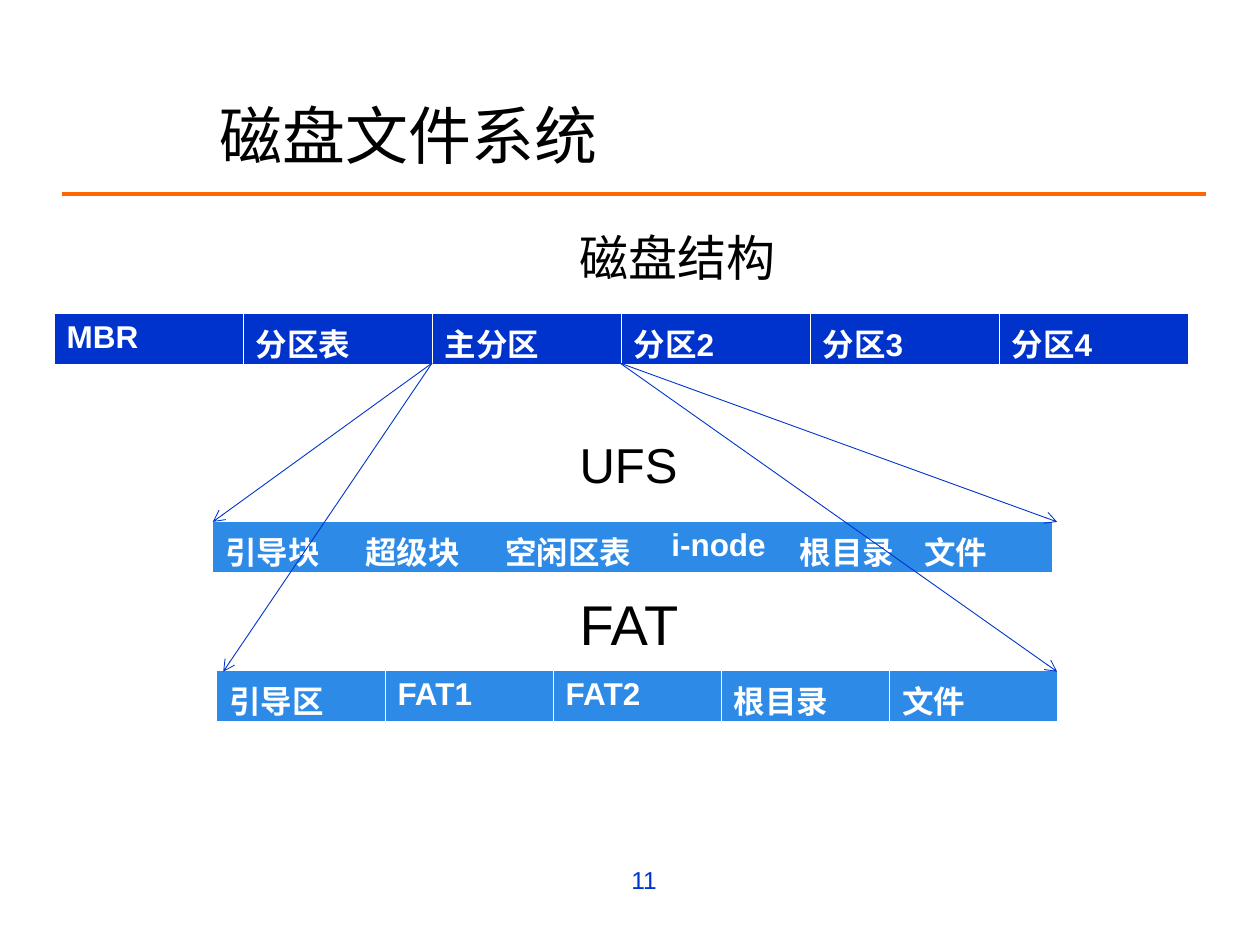
from lxml.etree import SubElement
from pptx import Presentation
from pptx.dml.color import RGBColor
from pptx.enum.shapes import MSO_CONNECTOR
from pptx.enum.text import MSO_ANCHOR, MSO_AUTO_SIZE, PP_ALIGN
from pptx.oxml.ns import qn
from pptx.util import Cm, Pt

BLACK = RGBColor(0x00, 0x00, 0x00)
WHITE = RGBColor(0xFF, 0xFF, 0xFF)
ORANGE = RGBColor(0xFF, 0x66, 0x00)
DISK_BLUE = RGBColor(0x00, 0x33, 0xCC)
SYSTEM_BLUE = RGBColor(0x2D, 0x8A, 0xE7)


def style(paragraph, size, color, bold=False):
    paragraph.font.name = "Arial"
    paragraph.font.size = Pt(size)
    paragraph.font.bold = bold
    paragraph.font.color.rgb = color


def place(shape, left, top, width, height):
    shape.left, shape.top = Cm(left), Cm(top)
    shape.width, shape.height = Cm(width), Cm(height)


def add_line(slide, start, end, color, width, arrow=False):
    line = slide.shapes.add_connector(
        MSO_CONNECTOR.STRAIGHT, *(Cm(value) for value in (*start, *end)))
    line.line.color.rgb = color
    line.line.width = Pt(width)
    if arrow:
        SubElement(line.line._get_or_add_ln(), qn("a:tailEnd"), type="arrow")
    SubElement(line._element.spPr, qn("a:effectLst"))


def add_title(slide, left, top, width, height):
    title = slide.shapes.title
    place(title, left, top, width, height)
    title.text_frame.text = "磁盘文件系统"
    title.text_frame.auto_size = MSO_AUTO_SIZE.NONE
    title.text_frame.vertical_anchor = MSO_ANCHOR.MIDDLE
    heading = title.text_frame.paragraphs[0]
    heading.alignment = PP_ALIGN.LEFT
    style(heading, 36, BLACK)
    add_line(slide, (1.24, 3.91), (24.31, 3.91), ORANGE, 2.25)


def add_captions(slide, left, top, width, height):
    """Fill the body with one caption above each table."""
    body = slide.placeholders[1]
    place(body, left, top, width, height)
    frame = body.text_frame
    frame.auto_size = MSO_AUTO_SIZE.NONE
    captions = [("磁盘结构", 28, 0), ("UFS", 28, 85), ("FAT", 32, 55)]
    frame.text = "\n".join(caption for caption, _, _ in captions)
    for paragraph, (_, size, gap) in zip(frame.paragraphs, captions):
        style(paragraph, size, BLACK)
        paragraph.space_before = Pt(gap)
        properties = paragraph._p.get_or_add_pPr()
        properties.set("marL", str(Cm(10.16)))
        properties.set("indent", "0")
        SubElement(properties, qn("a:buNone"))
        properties.remove(default := properties.find(qn("a:defRPr")))
        properties.append(default)


def set_borders(cell, visible):
    properties = cell._tc.get_or_add_tcPr()
    for position, (side, width) in enumerate(
            [("lnL", 0.45), ("lnR", 0.45), ("lnT", 0.45), ("lnB", 1.47)]):
        border = SubElement(properties, qn(f"a:{side}"), w=str(Pt(width)))
        if visible:
            fill = SubElement(border, qn("a:solidFill"))
            SubElement(fill, qn("a:srgbClr"), val=str(WHITE))
        else:
            SubElement(border, qn("a:noFill"))
        properties.insert(position, border)


def add_layout_row(slide, left, top, height, widths, areas, fill, bordered=True):
    """Add a one-row table of the areas on a disk or in a file system."""
    table = slide.shapes.add_table(
        1, len(areas), Cm(left), Cm(top), Cm(sum(widths)), Cm(height)).table
    table.first_row = table.horz_banding = False
    for column, width, cell, area in zip(
            table.columns, widths, table.rows[0].cells, areas):
        column.width = Cm(width)
        cell.text = area
        style(cell.text_frame.paragraphs[0], 18, WHITE, bold=True)
        cell.fill.solid()
        cell.fill.fore_color.rgb = fill
        set_borders(cell, bordered)


def add_page_number(slide, left, top, width, height):
    box = slide.shapes.add_textbox(Cm(left), Cm(top), Cm(width), Cm(height))
    box.text_frame.word_wrap = True
    box.text_frame.text = "11"
    number = box.text_frame.paragraphs[0]
    number.alignment = PP_ALIGN.RIGHT
    style(number, 14, DISK_BLUE)


def add_expansion(slide, partition, left_corner, right_corner):
    """Point from both ends of the main partition to a file system's corners."""
    for start, corner in zip(partition, (left_corner, right_corner)):
        add_line(slide, start, corner, DISK_BLUE, 0.5, arrow=True)


def main():
    presentation = Presentation()
    presentation.slide_width, presentation.slide_height = Cm(25.4), Cm(19.05)
    slide = presentation.slides.add_slide(presentation.slide_layouts[1])

    add_title(slide, 4.17, 1.9, 18.44, 1.63)
    add_page_number(slide, 7.11, 17.32, 6.38, 1.32)
    add_captions(slide, 1.27, 4.45, 22.86, 12.57)

    add_layout_row(slide, 1.09, 6.32, 1.04, [3.81] * 6,
                   ["MBR", "分区表", "主分区", "分区2", "分区3", "分区4"], DISK_BLUE)
    add_layout_row(slide, 4.29, 10.52, 1.02, [2.82, 2.82, 3.35, 2.59, 2.51, 2.82],
                   ["引导块", "超级块", "空闲区表", "i-node", "根目录", "文件"],
                   SYSTEM_BLUE, bordered=False)
    add_layout_row(slide, 4.37, 13.51, 1.04, [3.39] * 5,
                   ["引导区", "FAT1", "FAT2", "根目录", "文件"], SYSTEM_BLUE)

    main_partition = [(8.71, 7.32), (12.5, 7.32)]
    add_expansion(slide, main_partition, (4.29, 10.52), (21.31, 10.52))
    add_expansion(slide, main_partition, (4.5, 13.54), (21.31, 13.54))

    presentation.save("out.pptx")


if __name__ == "__main__":
    main()
